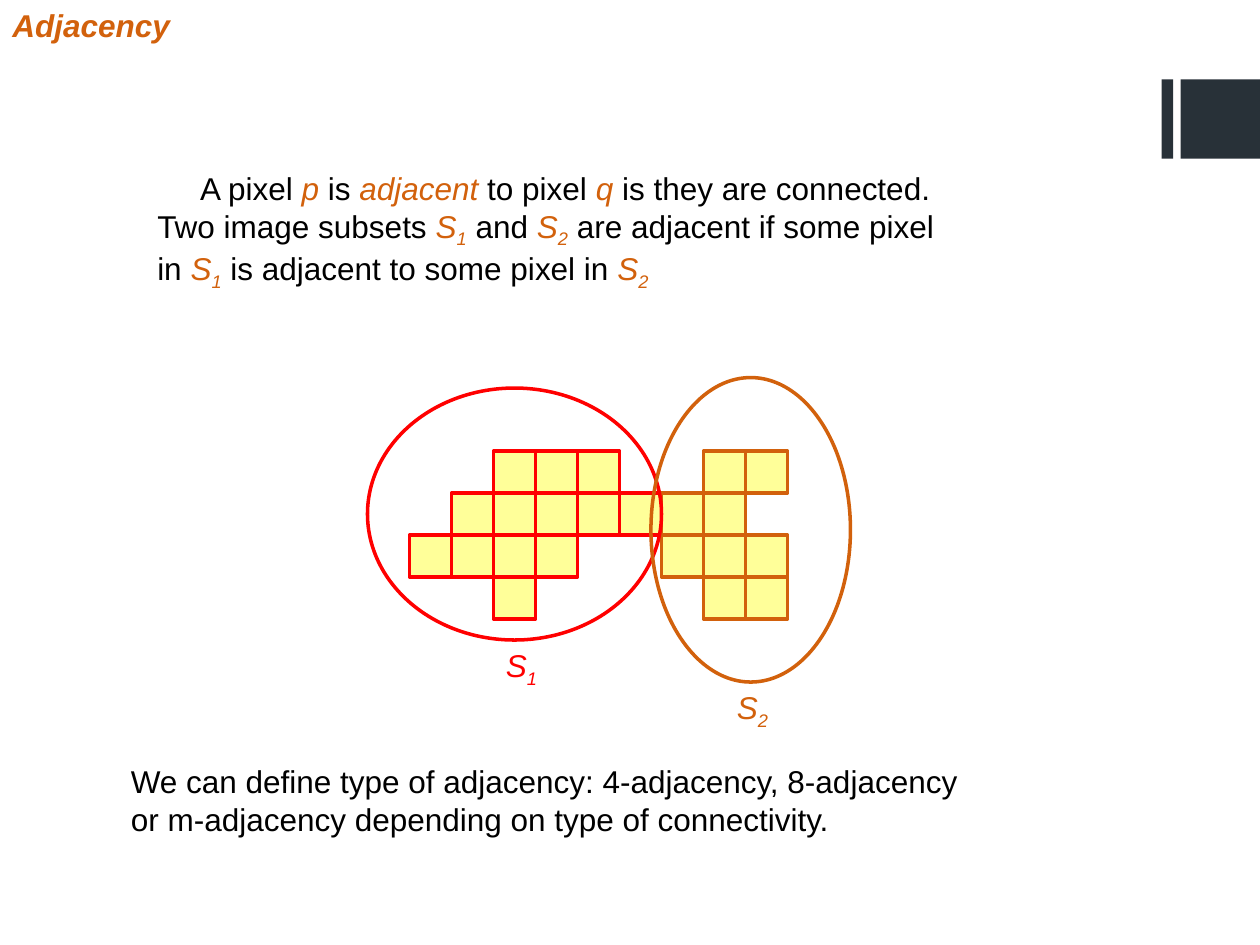
from dataclasses import dataclass
from typing import NamedTuple

from pptx import Presentation
from pptx.dml.color import RGBColor
from pptx.enum.shapes import MSO_SHAPE
from pptx.enum.text import MSO_AUTO_SIZE
from pptx.util import Inches, Pt

COLORS = {
    "ink": "000000",
    "orange": "D2610C",
    "red": "FF0000",
    "pixel": "FFFF99",
    "slate": "283138",
}
SLIDE_WIDTH, SLIDE_HEIGHT = 10, 7.5
CELL = 1 / 3
GRID_LEFT, GRID_TOP = 3.25, 3.58


class Frame(NamedTuple):
    left: float
    top: float
    width: float
    height: float


class Span(NamedTuple):
    text: str
    color: str = "ink"
    italic: bool = False
    bold: bool = False
    subscript: bool = False


@dataclass
class Subset:
    number: str
    color: str
    rows: dict[int, range]
    outline: Frame
    label: Frame


@dataclass
class TextBlock:
    frame: Frame
    lines: list[list[Span]]
    first_indent: float = 0


def share(left: float, top: float, width: float, height: float) -> Frame:
    return Frame(left * SLIDE_WIDTH, top * SLIDE_HEIGHT, width * SLIDE_WIDTH, height * SLIDE_HEIGHT)


def grid(column: float, row: float, columns: float = 1, rows: float = 1) -> Frame:
    return Frame(GRID_LEFT + column * CELL, GRID_TOP + row * CELL, columns * CELL, rows * CELL)


def term(text: str) -> Span:
    return Span(text, "orange", italic=True)


def symbol(number: str, color: str = "orange") -> list[Span]:
    return [Span("S", color, italic=True), Span(number, color, italic=True, subscript=True)]


def rgb(name: str) -> RGBColor:
    return RGBColor.from_string(COLORS[name])


def draw_shape(shapes, kind: MSO_SHAPE, frame: Frame, fill: str = "", line: str = "") -> None:
    shape = shapes.add_shape(kind, *map(Inches, frame))
    shape.shadow.inherit = False
    if fill:
        shape.fill.solid()
        shape.fill.fore_color.rgb = rgb(fill)
    else:
        shape.fill.background()
    if line:
        shape.line.color.rgb = rgb(line)
        shape.line.width = Pt(2)
    else:
        shape.line.fill.background()


def draw_text(shapes, block: TextBlock) -> None:
    box = shapes.add_textbox(*map(Inches, block.frame))
    box.text_frame.word_wrap = False
    box.text_frame.auto_size = MSO_AUTO_SIZE.SHAPE_TO_FIT_TEXT
    for index, line in enumerate(block.lines):
        para = box.text_frame.add_paragraph() if index else box.text_frame.paragraphs[0]
        if block.first_indent and index == 0:
            para._p.get_or_add_pPr().set("indent", str(Inches(block.first_indent)))
        for part in line:
            span = para.add_run()
            span.text = part.text
            formats = {"name": "Arial", "size": Pt(18), "bold": part.bold, "italic": part.italic}
            for attribute, value in formats.items():
                setattr(span.font, attribute, value)
            span.font.color.rgb = rgb(part.color)
            if part.subscript:
                span._r.get_or_add_rPr().set("baseline", "-25000")


def draw_subset_pixels(shapes, subset: Subset) -> None:
    for row, columns in subset.rows.items():
        for column in columns:
            draw_shape(shapes, MSO_SHAPE.RECTANGLE, grid(column, row), "pixel", subset.color)


def draw_subset_outline(shapes, subset: Subset) -> None:
    draw_shape(shapes, MSO_SHAPE.OVAL, subset.outline, line=subset.color)
    draw_text(shapes, TextBlock(subset.label, [symbol(subset.number, subset.color)]))


BARS = [share(0.922, 0.084, 0.009, 0.084), share(0.937, 0.084, 0.063, 0.084)]

SUBSETS = [
    Subset(
        "1", "red",
        {0: range(2, 5), 1: range(1, 6), 2: range(0, 4), 3: range(2, 3)},
        grid(-1, -1.5, 7, 6), grid(2, 4.5, 1.45, 1.5),
    ),
    Subset(
        "2", "orange",
        {0: range(7, 9), 1: range(6, 8), 2: range(6, 9), 3: range(7, 9)},
        grid(5.75, -1.75, 4.75, 7.25), grid(7.5, 5.5, 1.45, 1.5),
    ),
]

TITLE = TextBlock(
    share(0, 0, 0.187, 0.067),
    [[Span("Adjacency", "orange", italic=True, bold=True)]],
)
DEFINITION = TextBlock(
    share(0.115, 0.172, 0.77, 0.173),
    [
        [Span("A pixel "), term("p"), Span(" is "), term("adjacent"),
         Span(" to pixel "), term("q"), Span(" is they are connected.")],
        [Span("Two image subsets "), *symbol("1"), Span(" and "), *symbol("2"),
         Span(" are adjacent if some pixel")],
        [Span("in "), *symbol("1"), Span(" is adjacent to some pixel in "), *symbol("2")],
    ],
    first_indent=0.34,
)
TYPES = TextBlock(
    share(0.094, 0.8, 0.811, 0.12),
    [
        [Span("We can define type of adjacency: 4-adjacency, 8-adjacency")],
        [Span("or m-adjacency depending on type of connectivity.")],
    ],
)


def main() -> None:
    deck = Presentation()
    deck.slide_width, deck.slide_height = Inches(SLIDE_WIDTH), Inches(SLIDE_HEIGHT)
    page = deck.slides.add_slide(deck.slide_layouts[6])
    for bar in BARS:
        draw_shape(page.shapes, MSO_SHAPE.RECTANGLE, bar, "slate")
    draw_text(page.shapes, TITLE)
    draw_text(page.shapes, DEFINITION)
    diagram = page.shapes.add_group_shape()
    for draw in (draw_subset_pixels, draw_subset_outline):
        for subset in SUBSETS:
            draw(diagram.shapes, subset)
    draw_text(page.shapes, TYPES)
    deck.save("out.pptx")


if __name__ == "__main__":
    main()
